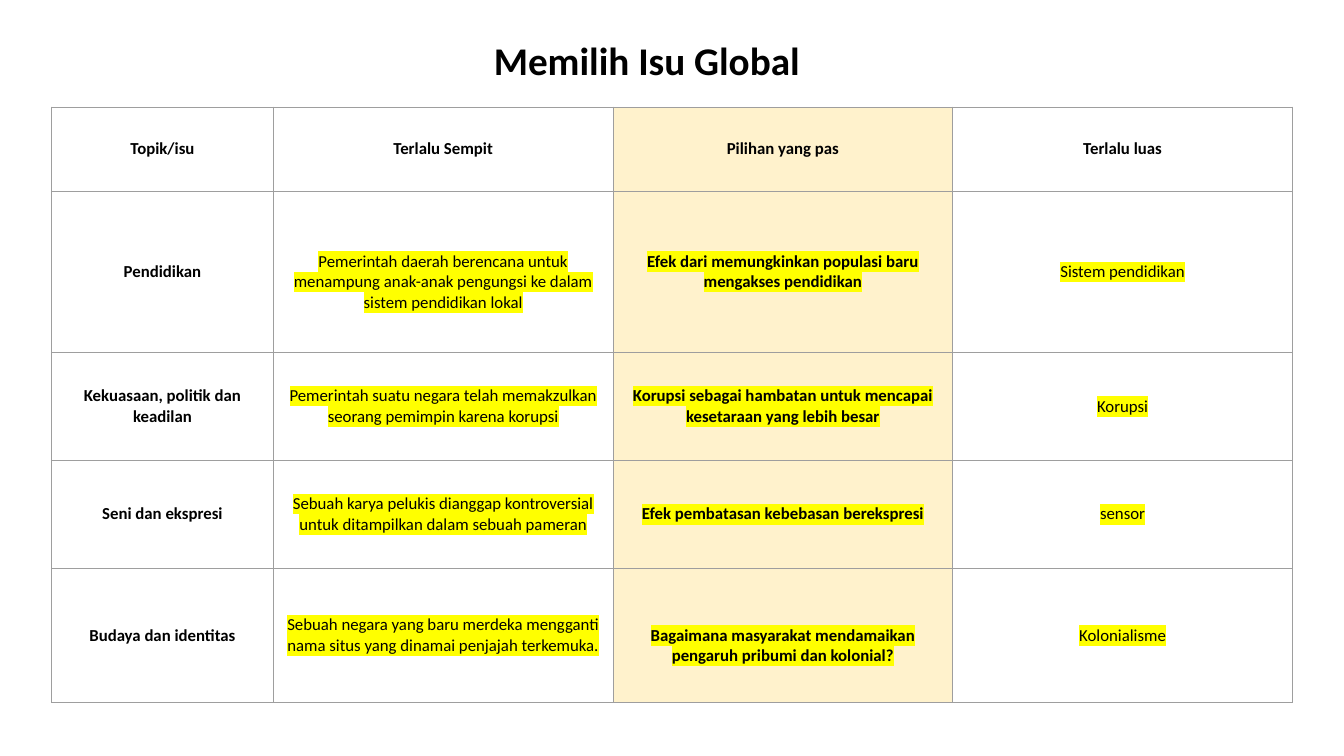
from lxml.etree import SubElement
from pptx import Presentation
from pptx.dml.color import RGBColor
from pptx.enum.text import MSO_ANCHOR, MSO_AUTO_SIZE, PP_ALIGN
from pptx.oxml import parse_xml
from pptx.oxml.ns import nsdecls, qn
from pptx.util import Cm, Pt

COLORS = {"text": "000000", "plain": "FFFFFF", "choice": "FFF2CC",
          "mark": "FFFF00", "rule": "9E9E9E"}

HEADER = ["Topik/isu", "Terlalu Sempit", "Pilihan yang pas", "Terlalu luas"]
ISSUES = [
    ["Pendidikan",
     "Pemerintah daerah berencana untuk menampung anak-anak pengungsi ke dalam "
     "sistem pendidikan lokal",
     "Efek dari memungkinkan populasi baru mengakses pendidikan",
     "Sistem pendidikan"],
    ["Kekuasaan, politik dan keadilan",
     "Pemerintah suatu negara telah memakzulkan seorang pemimpin karena korupsi",
     "Korupsi sebagai hambatan untuk mencapai kesetaraan yang lebih besar",
     "Korupsi"],
    ["Seni dan ekspresi",
     "Sebuah karya pelukis dianggap kontroversial untuk ditampilkan dalam "
     "sebuah pameran",
     "Efek pembatasan kebebasan berekspresi",
     "sensor"],
    ["Budaya dan identitas",
     "Sebuah negara yang baru merdeka mengganti nama situs yang dinamai "
     "penjajah terkemuka.",
     "Bagaimana masyarakat mendamaikan pengaruh pribumi dan kolonial?",
     "Kolonialisme"],
]
WIDTHS = [5.59, 8.56, 8.56, 8.56]
HEIGHTS = [2.12, 4.06, 2.72, 2.72, 3.39]
CHOICE = 2
LOWERED = {(1, 1), (4, 2)}  # cells whose text sits half a line lower
INSET, DROP = 0.25, 0.52


class Deck:
    font = "Calibri"

    def __init__(self, width, height):
        self.prs = Presentation()
        self.prs.slide_width, self.prs.slide_height = Cm(width), Cm(height)
        self.slide = self.prs.slides.add_slide(self.prs.slide_layouts[5])

    def style(self, para, size, bold, align, mark=False):
        para.alignment = align
        for run in para.runs:
            run.font.size, run.font.bold = Pt(size), bold
            run.font.name = self.font
            run.font.color.rgb = RGBColor.from_string(COLORS["text"])
            if mark:
                props = run.font._element
                light = SubElement(props, qn("a:highlight"))
                SubElement(light, qn("a:srgbClr"), val=COLORS["mark"])
                props.find(qn("a:solidFill")).addnext(light)

    def title(self, text, left, top, width, height):
        shape = self.slide.shapes.title
        shape.left, shape.top = Cm(left), Cm(top)
        shape.width, shape.height = Cm(width), Cm(height)
        frame = shape.text_frame
        frame.text = text
        frame.word_wrap = True
        frame.auto_size = MSO_AUTO_SIZE.NONE
        frame.vertical_anchor = MSO_ANCHOR.TOP
        self.style(frame.paragraphs[0], 28, True, PP_ALIGN.LEFT)

    def border(self, cell):
        props = cell._tc.get_or_add_tcPr()
        for spot, side in enumerate("LRTB"):
            props.insert(spot, parse_xml(
                f'<a:ln{side} {nsdecls("a")} w="{Pt(0.75)}"><a:solidFill>'
                f'<a:srgbClr val="{COLORS["rule"]}"/></a:solidFill></a:ln{side}>'))

    def cell(self, cell, text, fill, bold, mark, drop):
        cell.text_frame.text = text
        cell.vertical_anchor = MSO_ANCHOR.MIDDLE
        cell.margin_left = cell.margin_right = cell.margin_bottom = Cm(INSET)
        cell.margin_top = Cm(INSET + drop)
        cell.fill.solid()
        cell.fill.fore_color.rgb = RGBColor.from_string(COLORS[fill])
        self.border(cell)
        self.style(cell.text_frame.paragraphs[0], 12, bold, PP_ALIGN.CENTER, mark)

    def table(self, rows, left, top):
        grid = self.slide.shapes.add_table(
            len(rows), len(WIDTHS), Cm(left), Cm(top),
            Cm(sum(WIDTHS)), Cm(sum(HEIGHTS))).table
        for col, width in zip(grid.columns, WIDTHS):
            col.width = Cm(width)
        for row, height in zip(grid.rows, HEIGHTS):
            row.height = Cm(height)
        for r, texts in enumerate(rows):
            for c, text in enumerate(texts):
                self.cell(grid.cell(r, c), text,
                          fill="choice" if c == CHOICE else "plain",
                          bold=r == 0 or c in (0, CHOICE),
                          mark=r > 0 and c > 0,
                          drop=DROP if (r, c) in LOWERED else 0)


def main():
    deck = Deck(33.87, 19.05)
    # Heading
    deck.title("Memilih Isu Global", 12.19, 0.78, 9.47, 1.45)
    # Issues compared by scope
    deck.table([HEADER] + ISSUES, 1.3, 2.7)
    deck.prs.save("out.pptx")


if __name__ == "__main__":
    main()
